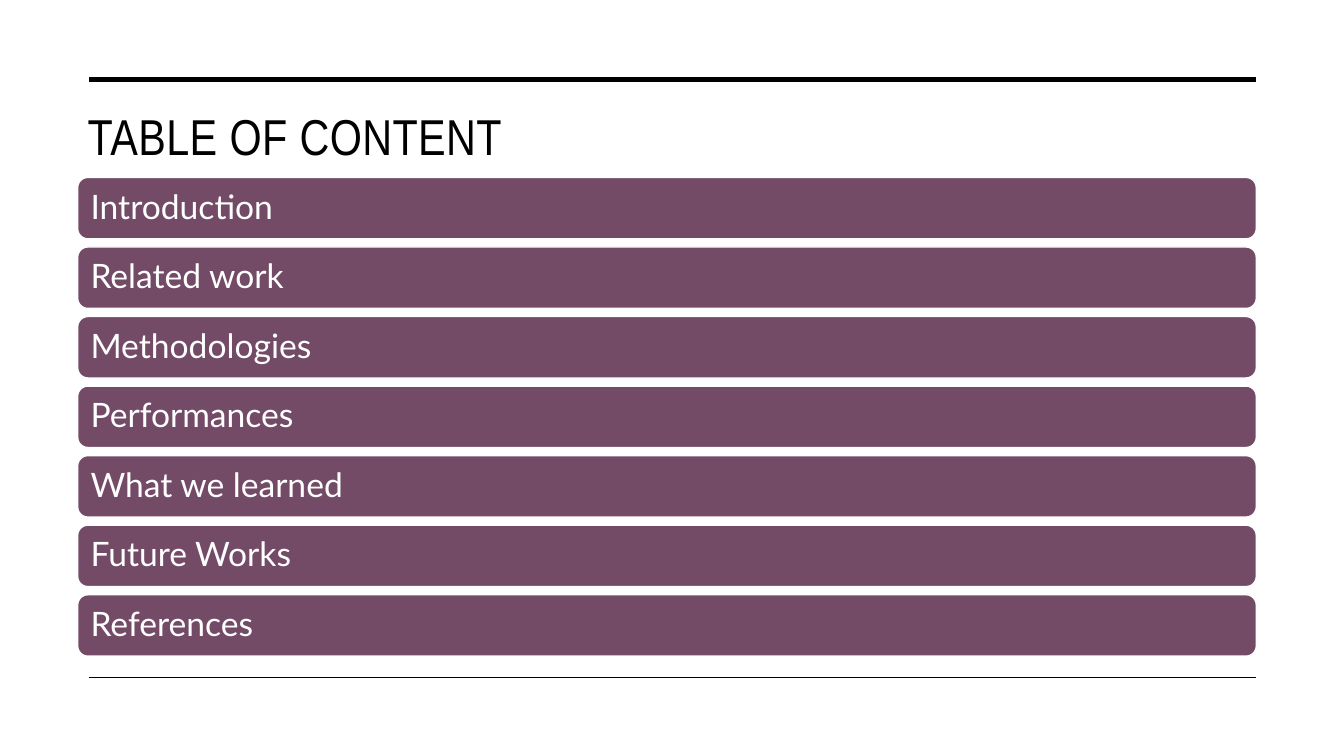
"""Builds a table-of-contents slide with a ruled frame and a stack of topic bars."""
from dataclasses import dataclass

from lxml import etree
from pptx import Presentation
from pptx.dml.color import RGBColor
from pptx.enum.shapes import MSO_CONNECTOR, MSO_SHAPE
from pptx.enum.text import MSO_ANCHOR, MSO_AUTO_SIZE, PP_ALIGN
from pptx.oxml.ns import qn
from pptx.util import Inches, Pt

STRAIGHT = MSO_CONNECTOR.STRAIGHT
ROUNDED = MSO_SHAPE.ROUNDED_RECTANGLE
MIDDLE = MSO_ANCHOR.MIDDLE
LEFT = PP_ALIGN.LEFT
NO_AUTOFIT = MSO_AUTO_SIZE.NONE
TITLE_ONLY = 5


@dataclass(frozen=True)
class Theme:
    """Colours, fonts and type sizes of the slide."""
    ink: RGBColor = RGBColor(0x00, 0x00, 0x00)
    paper: RGBColor = RGBColor(0xFF, 0xFF, 0xFF)
    plum: RGBColor = RGBColor(0x73, 0x4B, 0x67)
    title_font: str = "Arial Narrow"
    topic_font: str = "Lato"
    title_size: int = 36
    topic_size: int = 24


@dataclass(frozen=True)
class Box:
    """A region of the slide in inches."""
    left: float
    top: float
    width: float
    height: float


THEME = Theme()
FRAME = Box(0.88, 0.79, 11.58, 5.93)
TITLE = Box(0.77, 1, 11.69, 0.76)
AGENDA = Box(0.77, 1.76, 11.69, 4.75)
BAR_HEIGHT = 0.61
TOPICS = ["Introduction", "Related work", "Methodologies", "Performances",
          "What we learned", "Future Works", "References"]


def style_text(frame, font_name, size, color):
    """Left-align and centre a one-line text vertically, and return its run."""
    frame.word_wrap = True
    frame.auto_size = NO_AUTOFIT
    frame.vertical_anchor = MIDDLE
    frame.margin_left = frame.margin_right = Inches(0.1)
    frame.margin_top = frame.margin_bottom = Inches(0.05)
    paragraph = frame.paragraphs[0]
    paragraph.alignment = LEFT
    paragraph.line_spacing = 0.9
    run = paragraph.runs[0]
    run.font.name = font_name
    run.font.size = Pt(size)
    run.font.color.rgb = color
    return run


def add_frame_rules(slide, box):
    """Draw a heavy rule on the top edge of the box and a thin one on the bottom."""
    for y, weight in ((box.top, 3.5), (box.top + box.height, 1)):
        rule = slide.shapes.add_connector(
            STRAIGHT, Inches(box.left), Inches(y),
            Inches(box.left + box.width), Inches(y))
        rule.line.color.rgb = THEME.ink
        rule.line.width = Pt(weight)
        etree.SubElement(rule._element.spPr, qn("a:effectLst"))


def add_title(slide, box):
    """Place and format the slide title in the box."""
    title = slide.shapes.title
    title.left, title.top = Inches(box.left), Inches(box.top)
    title.width, title.height = Inches(box.width), Inches(box.height)
    title.text_frame.text = "TABLE OF CONTENT"
    run = style_text(title.text_frame, THEME.title_font,
                     THEME.title_size, THEME.ink)
    run.font._element.set("spc", "30")


def add_agenda(slide, box, topics):
    """Stack one rounded bar per topic, evenly spread over the box."""
    pitch = (box.height - BAR_HEIGHT) / (len(topics) - 1)
    for index, topic in enumerate(topics):
        bar = slide.shapes.add_shape(
            ROUNDED, Inches(box.left), Inches(box.top + index * pitch),
            Inches(box.width), Inches(BAR_HEIGHT))
        bar.shadow.inherit = False
        bar.fill.solid()
        bar.fill.fore_color.rgb = THEME.plum
        bar.line.color.rgb = THEME.paper
        bar.line.width = Pt(1)
        bar.text_frame.text = topic
        style_text(bar.text_frame, THEME.topic_font,
                   THEME.topic_size, THEME.paper)


def main():
    """Build the slide and save the presentation."""
    deck = Presentation()
    deck.slide_width, deck.slide_height = Inches(13.33), Inches(7.5)
    slide = deck.slides.add_slide(deck.slide_layouts[TITLE_ONLY])
    add_frame_rules(slide, FRAME)
    add_title(slide, TITLE)
    add_agenda(slide, AGENDA, TOPICS)
    deck.save("out.pptx")


if __name__ == "__main__":
    main()
